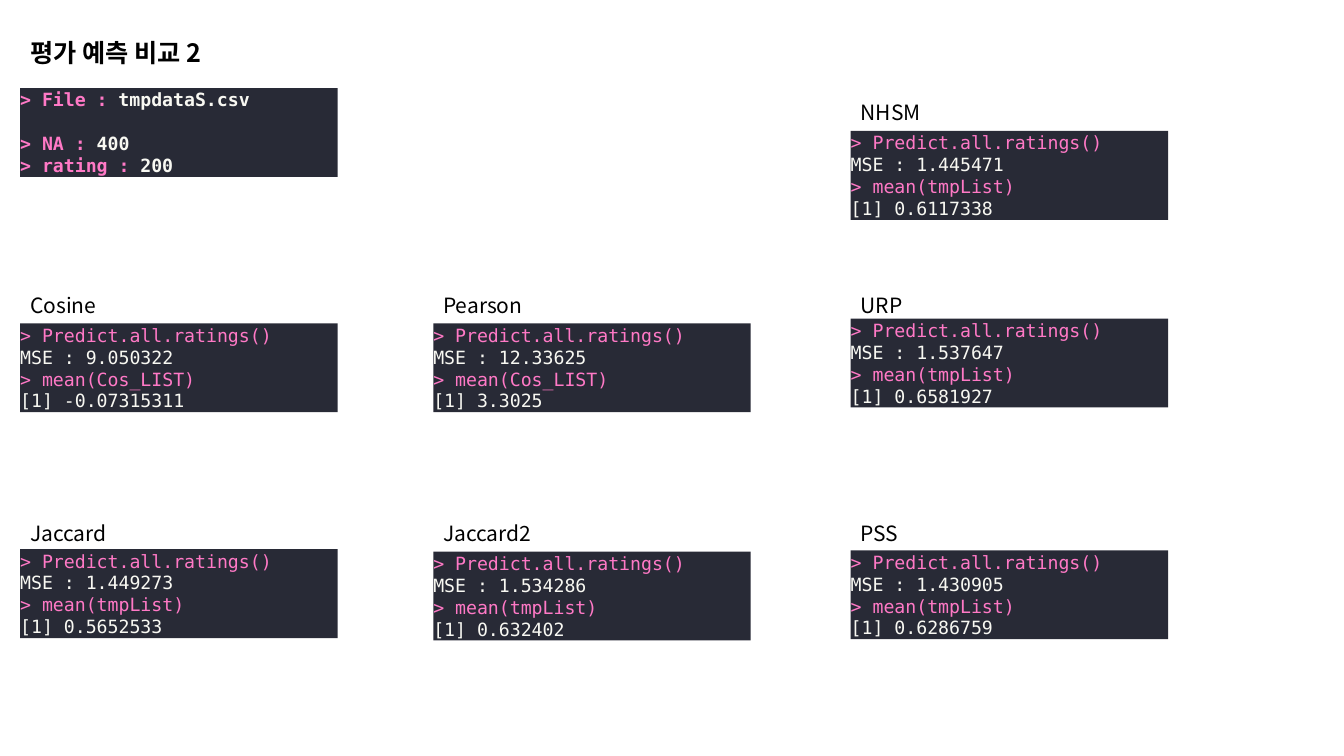
from dataclasses import dataclass

from lxml import etree
from pptx import Presentation
from pptx.dml.color import RGBColor
from pptx.enum.shapes import MSO_SHAPE
from pptx.enum.text import MSO_ANCHOR, MSO_AUTO_SIZE, PP_ALIGN
from pptx.oxml.ns import qn
from pptx.util import Cm, Pt

RECT = MSO_SHAPE.RECTANGLE
TOP, MIDDLE = MSO_ANCHOR.TOP, MSO_ANCHOR.MIDDLE
GROW = MSO_AUTO_SIZE.SHAPE_TO_FIT_TEXT
LEFT = PP_ALIGN.LEFT

DARK, PINK, PALE, BLACK = "282A36", "FF79C6", "F8F8F2", "000000"
COLS = (0.51, 10.92, 21.44)
ROWS = (2.39, 7.24, 12.98)
WIDE, HIGH = 8.0, 2.24

CODE = {"name": "DejaVu Sans Mono", "size": Pt(13), "bold": False}
HEAD = {"name": "Noto Sans CJK KR", "size": Pt(18), "bold": True}
LABEL = HEAD | {"size": Pt(15), "bold": False}
BOX = {"word_wrap": True, "auto_size": GROW, "vertical_anchor": TOP}
PANEL = BOX | {"vertical_anchor": MIDDLE, "margin_left": 0, "margin_right": 0,
               "margin_top": 0, "margin_bottom": 0}
PARA = {"alignment": LEFT, "line_spacing": 1.0, "space_before": Pt(0)}


@dataclass
class Result:
    name: str
    col: int
    row: int
    top: float
    mse: str
    list: str
    mean: str


RESULTS = (
    Result("NHSM", 2, 0, 3.3, "1.445471", "tmpList", "0.6117338"),
    Result("Cosine", 0, 1, 8.15, "9.050322", "Cos_LIST", "-0.07315311"),
    Result("Pearson", 1, 1, 8.15, "12.33625", "Cos_LIST", "3.3025"),
    Result("URP", 2, 1, 8.03, "1.537647", "tmpList", "0.6581927"),
    Result("Jaccard", 0, 2, 13.84, "1.449273", "tmpList", "0.5652533"),
    Result("Jaccard2", 1, 2, 13.9, "1.534286", "tmpList", "0.632402"),
    Result("PSS", 2, 2, 13.87, "1.430905", "tmpList", "0.6286759"),
)
FACTS = (("> File : ", "tmpdataS.csv"), ("> NA : ", "400"), ("> rating : ", "200"))


def color(code: str) -> RGBColor:
    return RGBColor.from_string(code)


def apply(item, form: dict) -> None:
    for key, value in form.items():
        setattr(item, key, value)


def write(frame, lines: list, font: dict, box: dict) -> None:
    apply(frame, box)
    for i, line in enumerate(lines):
        para = frame.add_paragraph() if i else frame.paragraphs[0]
        apply(para, PARA)
        for text, code in line:
            run = para.add_run()
            run.text = text
            apply(run.font, font)
            run.font.color.rgb = color(code)
            east = etree.SubElement(run.font._element, qn("a:ea"))
            east.set("typeface", font["name"])


def add_panel(slide, left: float, top: float, lines: list, font: dict):
    panel = slide.shapes.add_shape(RECT, Cm(left), Cm(top), Cm(WIDE), Cm(HIGH))
    panel.shadow.inherit = False
    panel.fill.solid()
    panel.fill.fore_color.rgb = color(DARK)
    panel.line.fill.background()
    write(panel.text_frame, lines, font, PANEL)
    return panel


def add_result(slide, item: Result) -> None:
    left = COLS[item.col]
    label = slide.shapes.add_textbox(Cm(left), Cm(ROWS[item.row]), Cm(7), Cm(0.9))
    write(label.text_frame, [[(item.name, BLACK)]], LABEL, BOX)
    lines = [
        [("> Predict.all.ratings()", PINK)],
        [(f"MSE : {item.mse}", PALE)],
        [(f"> mean({item.list})", PINK)],
        [(f"[1] {item.mean}", PALE)],
    ]
    add_panel(slide, left, item.top, lines, CODE)


def main() -> None:
    deck = Presentation()
    apply(deck, {"slide_width": Cm(33.87), "slide_height": Cm(19.05)})
    slide = deck.slides.add_slide(deck.slide_layouts[5])
    title = slide.shapes.title
    apply(title, {"left": Cm(COLS[0]), "top": Cm(0.81), "width": Cm(6.05), "height": Cm(1.02)})
    write(title.text_frame, [[("평가 예측 비교 2", BLACK)]], HEAD, BOX)
    lines = [[(key, PINK), (value, PALE)] for key, value in FACTS]
    facts = add_panel(slide, COLS[0], 2.22, lines, CODE | {"bold": True})
    facts.text_frame.paragraphs[1].space_before = Pt(15.7)
    for item in RESULTS:
        add_result(slide, item)
    deck.save("out.pptx")


if __name__ == "__main__":
    main()
